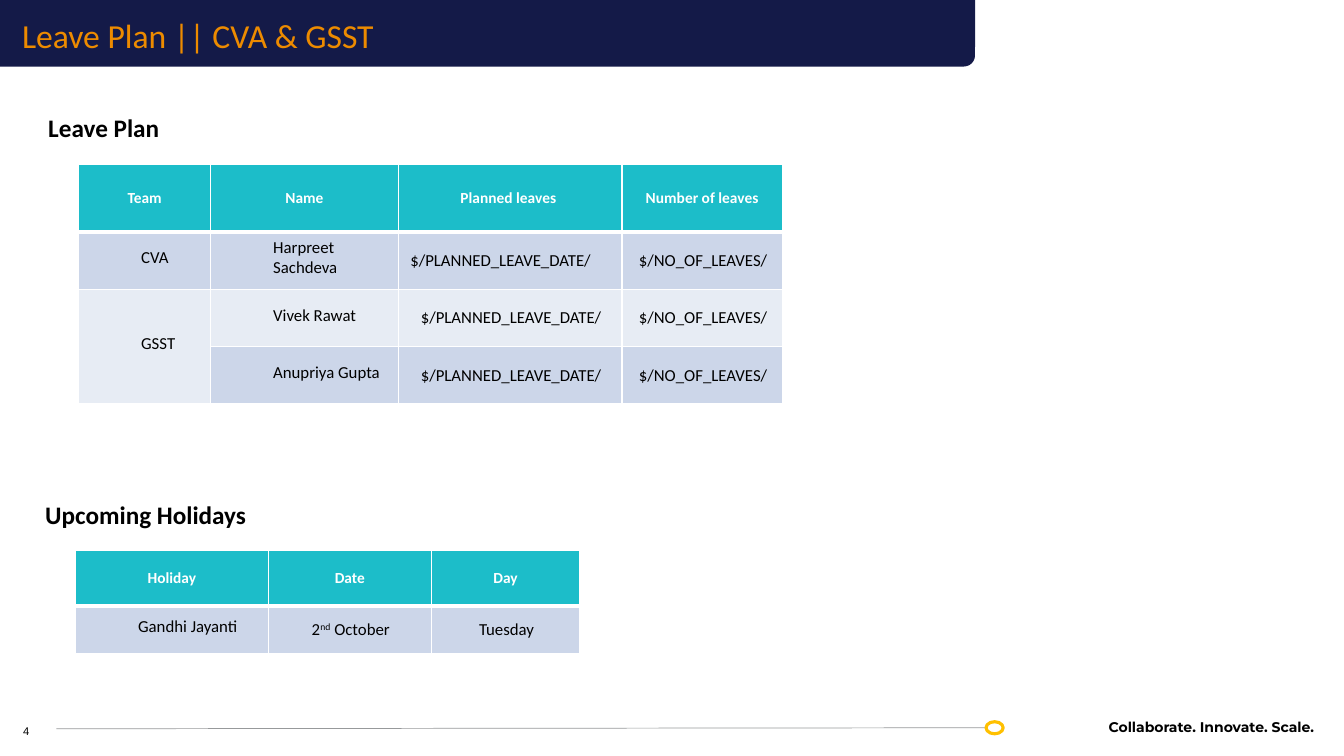
from dataclasses import dataclass
from typing import NamedTuple

from lxml import etree
from pptx import Presentation
from pptx import util as u
from pptx.dml.color import RGBColor
from pptx.enum import shapes, text
from pptx.oxml import ns


@dataclass(frozen=True)
class Theme:
    navy: str = "141A48"
    orange: str = "ED8B00"
    teal: str = "1CBDC9"
    band_dark: str = "CCD6E9"
    band_light: str = "E7ECF4"
    grey: str = "97999B"
    gold: str = "FFC000"
    black: str = "000000"
    white: str = "FFFFFF"
    font: str = "Calibri"
    title: float = 24
    heading: float = 18
    body: float = 12
    header: float = 11
    footer: float = 10
    number: float = 8


class Label(NamedTuple):
    at: tuple
    words: str
    style: dict
    wrap: bool = True
    inset: tuple = (0.1, 0.05, 0.1, 0.05)
    anchor: text.MSO_ANCHOR = text.MSO_ANCHOR.TOP


class Grid(NamedTuple):
    left: float
    top: float
    widths: list
    heights: list
    rows: list
    indented: int  # number of leading columns with indented text
    merges: list = []
    left_aligned: list = []


THEME = Theme()
CENTER, RIGHT = text.PP_ALIGN.CENTER, text.PP_ALIGN.RIGHT
DATE, COUNT = "$/PLANNED_LEAVE_DATE/", "$/NO_OF_LEAVES/"
HEADING = dict(size=THEME.heading, bold=True)

LABELS = [
    Label((0.21, 7.2, 0.45, 0.13), "4", dict(size=THEME.number, font="Arial"),
          inset=(0.02, 0.01, 0.02, 0.01), anchor=text.MSO_ANCHOR.BOTTOM),
    Label((9.11, 7.08, 4.02, 0.27), "Collaborate. Innovate. Scale.",
          dict(size=THEME.footer, font="Montserrat", bold=True, align=RIGHT)),
    Label((0.12, 0.14, 9.82, 0.83), "Leave Plan || CVA & GSST",
          dict(size=THEME.title, color=THEME.orange, spacing=0.9)),
    Label((0.35, 4.9, 2.27, 1.01), "Upcoming Holidays", HEADING, wrap=False),
    Label((0.38, 1.07, 1.37, 0.4), "Leave Plan", HEADING, wrap=False),
]

LEAVES = Grid(
    0.78, 1.63, [1.31, 1.86, 2.22, 1.59], [0.67, 0.57, 0.57, 0.57],
    [["Team", "Name", "Planned leaves ", "Number of leaves"],
     ["CVA", "Harpreet Sachdeva", DATE, COUNT],
     ["GSST", "Vivek Rawat", DATE, COUNT],
     ["", "Anupriya Gupta", DATE, COUNT]],
    indented=2, merges=[((2, 0), (3, 0))], left_aligned=[(1, 2)])

# A tuple holds the parts of a text; every second part is superscript
HOLIDAYS = Grid(
    0.75, 5.46, [1.91, 1.62, 1.47], [0.55, 0.47],
    [["Holiday", "Date", "Day"],
     ["Gandhi Jayanti", ("2", "nd", " October"), "Tuesday"]],
    indented=1)


def rgb(color: str) -> RGBColor:
    return RGBColor.from_string(color)


def inches(values) -> list:
    return [u.Inches(value) for value in values]


def write(frame, words, *, size: float, color: str = THEME.black,
          font: str = THEME.font, bold: bool = False, align=None,
          spacing=None, indent: float = 0, before: float = 0) -> None:
    para = frame.paragraphs[0]
    para.alignment = align
    if spacing:
        para.line_spacing = spacing
    if indent:
        para.level = 1
        para.space_before = u.Pt(before)
        props = para._p.get_or_add_pPr()
        props.set("marL", str(u.Inches(indent)))
        props.set("indent", "0")
    parts = (words,) if isinstance(words, str) else words
    for index, part in enumerate(parts):
        span = para.add_run()
        span.text = part
        span.font.size, span.font.name, span.font.bold = u.Pt(size), font, bold
        span.font.color.rgb = rgb(color)
        if index % 2:
            span._r.get_or_add_rPr().set("baseline", "30000")


def set_insets(target, inset: tuple) -> None:
    (target.margin_left, target.margin_top,
     target.margin_right, target.margin_bottom) = inches(inset)


def add_label(page, label: Label) -> None:
    box = page.shapes.add_textbox(*inches(label.at))
    frame = box.text_frame
    frame.word_wrap = label.wrap
    frame.vertical_anchor = label.anchor
    set_insets(frame, label.inset)
    write(frame, label.words, **label.style)


def add_borders(cell, widths: dict) -> None:
    props = cell._tc.get_or_add_tcPr()
    for side, width in widths.items():
        line = etree.SubElement(props, ns.qn(f"a:ln{side}"), w=str(u.Pt(width)))
        fill = etree.SubElement(line, ns.qn("a:solidFill"))
        etree.SubElement(fill, ns.qn("a:srgbClr"), val=THEME.white)


def add_grid(page, grid: Grid) -> None:
    frame = page.shapes.add_table(
        len(grid.heights), len(grid.widths),
        *inches((grid.left, grid.top, sum(grid.widths), sum(grid.heights))))
    table = frame.table
    table.first_row = table.horz_banding = False
    for column, width in zip(table.columns, grid.widths):
        column.width = u.Inches(width)
    for row, height in zip(table.rows, grid.heights):
        row.height = u.Inches(height)
    for start, end in grid.merges:
        table.cell(*start).merge(table.cell(*end))

    for r, row in enumerate(grid.rows):
        for c, words in enumerate(row):
            cell = table.cell(r, c)
            cell.vertical_anchor = text.MSO_ANCHOR.MIDDLE
            # A thick rule separates the header from the body
            add_borders(cell, {"L": 1, "R": 1, "T": 3 if r == 1 else 1,
                               "B": 3 if r == 0 else 1})
            style = dict(size=THEME.body)
            if r == 0:
                fill, inset = THEME.teal, (0.07, 0, 0.07, 0)
                style = dict(size=THEME.header, color=THEME.white,
                             bold=True, align=CENTER)
            else:
                fill = THEME.band_dark if r % 2 else THEME.band_light
                if c < grid.indented:
                    inset = (0.12, 0, 0.13, 0.05)
                    style.update(indent=0.5, before=3)
                else:
                    inset = (0.12, 0, 0.1, 0)
                    if (r, c) not in grid.left_aligned:
                        style.update(align=CENTER)
            cell.fill.solid()
            cell.fill.fore_color.rgb = rgb(fill)
            set_insets(cell, inset)
            if words:
                write(cell.text_frame, words, **style)


def add_frame(page) -> None:
    # Title banner, rounded at its lower right corner
    banner = page.shapes.add_shape(shapes.MSO_SHAPE.ROUND_1_RECTANGLE,
                                   *inches((-0.02, 0, 9.69, 0.66)))
    banner.shadow.inherit = False
    banner.rotation = 180
    banner._element.spPr.xfrm.set("flipH", "1")
    banner.fill.solid()
    banner.fill.fore_color.rgb = rgb(THEME.navy)
    banner.line.fill.background()

    # Footer rule and ring
    rule = page.shapes.add_connector(shapes.MSO_CONNECTOR.STRAIGHT,
                                     *inches((0.56, 7.23, 9.78, 7.22)))
    rule.line.color.rgb = rgb(THEME.grey)
    rule.line.width = u.Pt(0.5)
    etree.SubElement(rule._element.spPr, ns.qn("a:effectLst"))
    ring = page.shapes.add_shape(shapes.MSO_SHAPE.OVAL,
                                 *inches((9.78, 7.16, 0.17, 0.12)))
    ring.shadow.inherit = False
    ring.fill.background()
    ring.line.color.rgb = rgb(THEME.gold)
    ring.line.width = u.Pt(2.25)


def main() -> None:
    deck = Presentation()
    deck.slide_width, deck.slide_height = inches((13.33, 7.5))
    page = deck.slides.add_slide(deck.slide_layouts[6])
    add_frame(page)
    for label in LABELS:
        add_label(page, label)
    for grid in (LEAVES, HOLIDAYS):
        add_grid(page, grid)
    deck.save("out.pptx")


if __name__ == "__main__":
    main()
